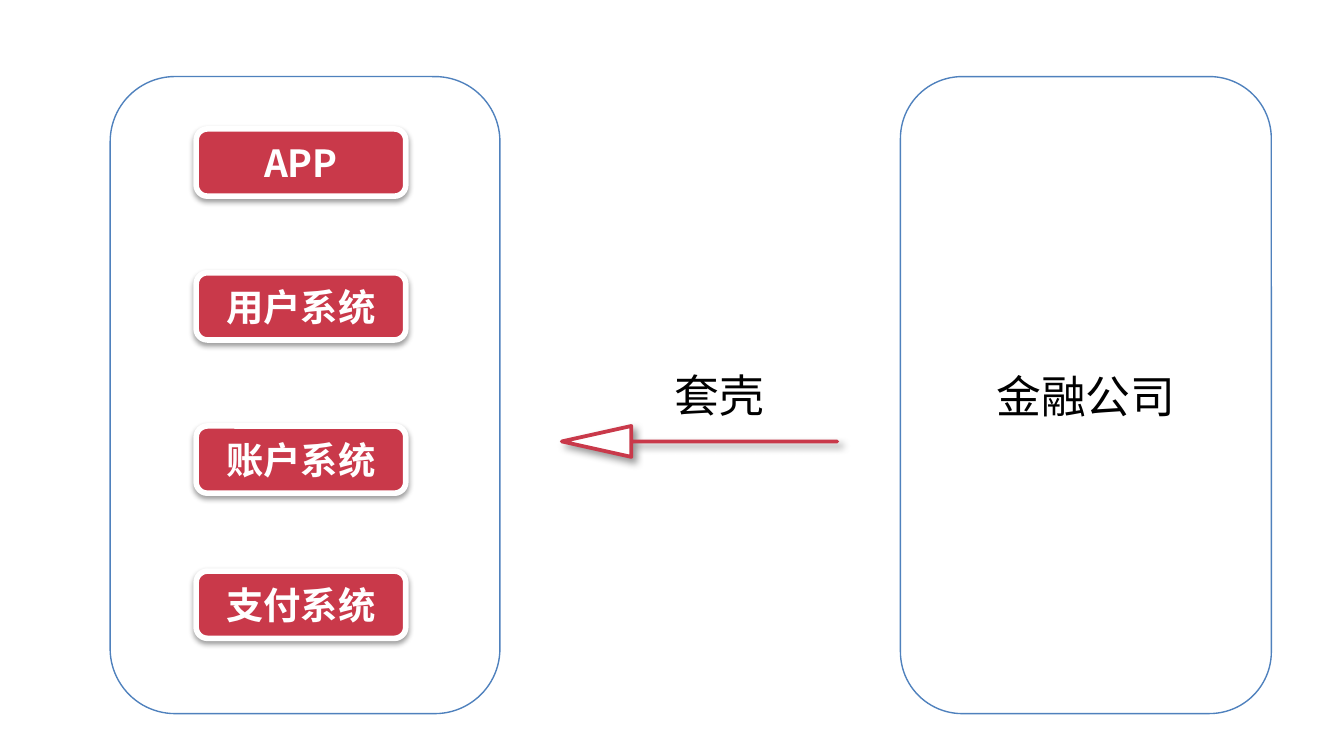
"""Builds a slide showing a finance company wrapped around four app systems."""
import lxml.etree
import pptx
import pptx.dml.color
import pptx.enum.shapes
import pptx.enum.text
import pptx.oxml.ns
import pptx.util

COLORS = {
    "red": "C9394A",
    "blue": "4F81BD",
    "white": "FFFFFF",
    "black": "000000",
}
FONT = "Noto Sans CJK SC"
SHAPES = pptx.enum.shapes.MSO_SHAPE
ALIGN = pptx.enum.text.PP_ALIGN
ANCHOR = pptx.enum.text.MSO_ANCHOR


def color(name):
    return pptx.dml.color.RGBColor.from_string(COLORS[name])


def child(parent, tag, **attributes):
    values = {key: str(value) for key, value in attributes.items()}
    return lxml.etree.SubElement(parent, pptx.oxml.ns.qn(tag), values)


def write_text(shape, text, size=24, ink="black", bold=False,
               align=ALIGN.CENTER, anchor=ANCHOR.MIDDLE):
    frame = shape.text_frame
    frame.word_wrap = True
    frame.vertical_anchor = anchor
    paragraph = frame.paragraphs[0]
    paragraph.alignment = align
    run = paragraph.add_run()
    run.text = text
    run.font.size = pptx.util.Pt(size)
    run.font.bold = bold
    run.font.name = FONT
    run.font.color.rgb = color(ink)
    child(run.font._element, "a:ea", typeface=FONT)


class SlideBuilder:
    columns = 100
    rows = 56.25

    def __init__(self, presentation):
        self.column = presentation.slide_width / self.columns
        self.row = presentation.slide_height / self.rows
        self.slide = presentation.slides.add_slide(presentation.slide_layouts[6])

    def place(self, left, top, width, height):
        return [round(length) for length in (
            left * self.column, top * self.row,
            width * self.column, height * self.row)]

    def outline(self, kind, box, line, weight, fill=None):
        shape = self.slide.shapes.add_shape(kind, *self.place(*box))
        shape.shadow.inherit = False
        if fill:
            shape.fill.solid()
            shape.fill.fore_color.rgb = color(fill)
        else:
            shape.fill.background()
        shape.line.color.rgb = color(line)
        shape.line.width = pptx.util.Pt(weight)
        return shape

    def cast_shadow(self, shape, blur, distance, angle, opacity):
        effects = shape._element.spPr.find(pptx.oxml.ns.qn("a:effectLst"))
        shadow = child(effects, "a:outerShdw", blurRad=pptx.util.Pt(blur),
                       dist=pptx.util.Pt(distance), dir=angle * 60000,
                       rotWithShape=0)
        shade = child(shadow, "a:srgbClr", val=COLORS["black"])
        child(shade, "a:alpha", val=opacity * 1000)

    def panel(self, left, width, text=None):
        shape = self.outline(SHAPES.ROUNDED_RECTANGLE,
                             (left, 5.7, width, 47.4), "blue", 0.75)
        if text:
            write_text(shape, text)

    def button(self, top, text):
        shape = self.outline(SHAPES.ROUNDED_RECTANGLE,
                             (14.6, top, 15.6, 5), "white", 3, "red")
        self.cast_shadow(shape, 3.1, 1.6, 90, 38)
        write_text(shape, text, size=20, ink="white", bold=True)

    def arrow(self, *box):
        shape = self.outline(SHAPES.LEFT_ARROW, box, "red", 2, "white")
        shape.adjustments[0] = 0
        shape.adjustments[1] = 2.25
        self.cast_shadow(shape, 4, 3, 45, 40)

    def label(self, text, *box):
        shape = self.slide.shapes.add_textbox(*self.place(*box))
        write_text(shape, text, align=ALIGN.LEFT, anchor=ANCHOR.TOP)


def main():
    presentation = pptx.Presentation()
    presentation.slide_width = pptx.util.Inches(10)
    presentation.slide_height = presentation.slide_width * 9 // 16
    builder = SlideBuilder(presentation)
    systems = {"APP": 9.6, "用户系统": 20.3, "账户系统": 31.7, "支付系统": 42.5}
    for name, top in systems.items():
        builder.button(top, name)
    builder.panel(67, 27.6, "金融公司")
    builder.panel(8.2, 29)
    builder.arrow(41.8, 31.7, 20.5, 2.3)
    builder.label("套壳", 49.2, 26.9, 17.7, 5)
    presentation.save("out.pptx")


if __name__ == "__main__":
    main()
